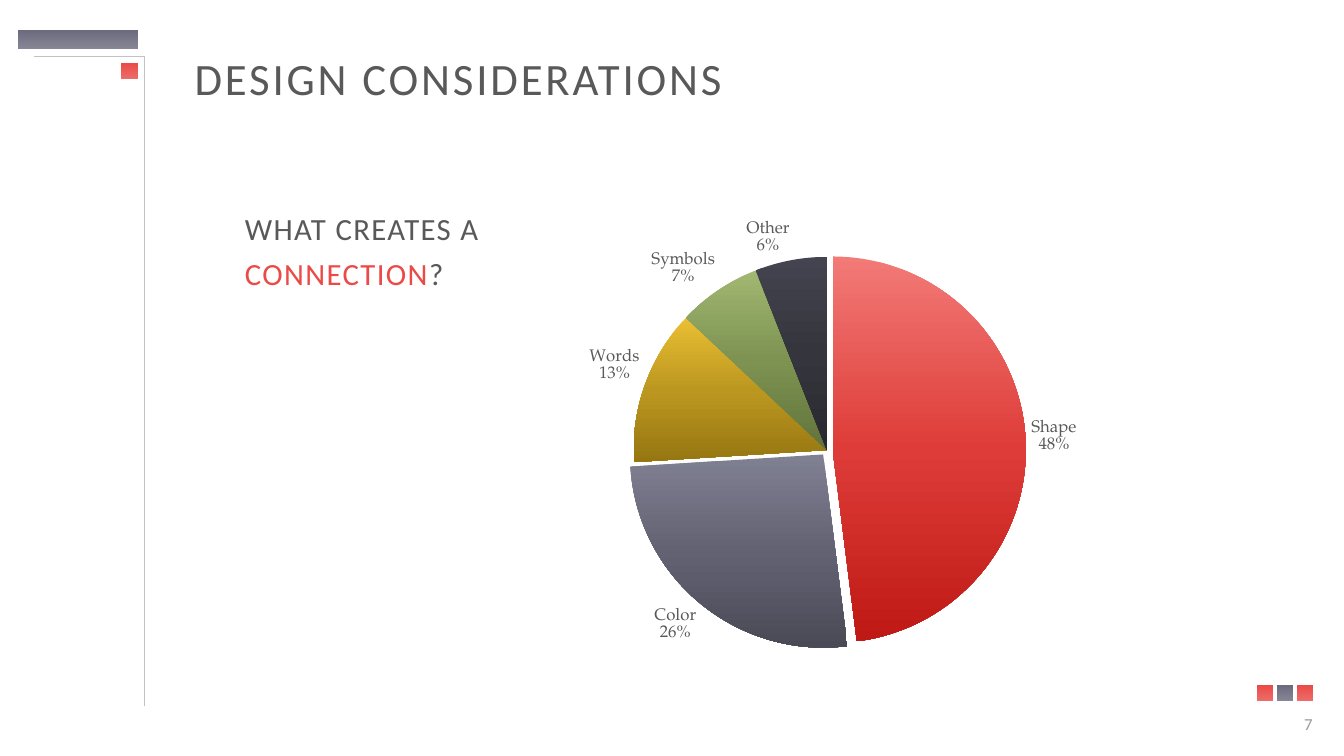
from lxml import etree
from pptx import Presentation
from pptx import util as u
from pptx.chart.data import CategoryChartData
from pptx.dml.color import RGBColor
from pptx.enum import chart as charts, shapes, text
from pptx.oxml import ns

RED = RGBColor(0xEB, 0x4B, 0x47)
SLATE = RGBColor(0x6B, 0x6B, 0x7E)
GREY = RGBColor(0x59, 0x59, 0x59)
RULE_GREY = RGBColor(0xC2, 0xC2, 0xC2)
NUMBER_GREY = RGBColor(0x9B, 0x9B, 0x9B)

SLICES = [
    ("Shape", 48, ("F27A77", "DE3C38", "BE1915")),
    ("Color", 26, ("808093", "626272", "4A4A57")),
    ("Words", 13, ("EABF33", "BC9720", "967611")),
    ("Symbols", 7, ("A1B772", "7E9352", "61733B")),
    ("Other", 6, ("444450", "35353D", "28282F")),
]
EXPLODED_SLICES = 2


def add_element(parent, tag, **attributes):
    return etree.SubElement(parent, ns.qn(tag), attributes)


class SlideBuilder:
    font = "Calibri"
    chart_font = "TeX Gyre Pagella"

    def __init__(self, presentation):
        self.slide = presentation.slides.add_slide(presentation.slide_layouts[1])

    def place(self, shape, left, top, width, height):
        shape.left, shape.top = u.Inches(left), u.Inches(top)
        shape.width, shape.height = u.Inches(width), u.Inches(height)

    def gradient(self, fill, element, stops):
        fill.gradient()
        fill.gradient_angle = 270
        stop_list = element.find(".//" + ns.qn("a:gsLst"))
        for stop in list(stop_list):
            stop_list.remove(stop)
        for position, color, alpha in stops:
            stop = add_element(stop_list, "a:gs", pos=str(position * 1000))
            color_element = add_element(stop, "a:srgbClr", val=str(color))
            if alpha < 100:
                add_element(color_element, "a:alpha", val=str(alpha * 1000))

    def rule(self, points):
        start, *others = [(u.Inches(x), u.Inches(y)) for x, y in points]
        builder = self.slide.shapes.build_freeform(*start)
        builder.add_line_segments(others, close=False)
        shape = builder.convert_to_shape()
        shape.shadow.inherit = False
        shape.fill.background()
        shape.line.color.rgb = RULE_GREY
        shape.line.width = u.Pt(1)

    def block(self, left, top, width, height, color):
        shape = self.slide.shapes.add_shape(
            shapes.MSO_SHAPE.RECTANGLE, u.Inches(left), u.Inches(top),
            u.Inches(width), u.Inches(height))
        shape.shadow.inherit = False
        shape.line.fill.background()
        self.gradient(shape.fill, shape.element, [(0, color, 100), (100, color, 80)])

    def set_text(self, shape, box, runs, size, spacing=0, anchor=text.MSO_ANCHOR.TOP,
                 alignment=text.PP_ALIGN.LEFT, inset=0.05, line_spacing=1.0):
        self.place(shape, *box)
        frame = shape.text_frame
        frame.word_wrap = True
        frame.auto_size = text.MSO_AUTO_SIZE.NONE
        frame.vertical_anchor = anchor
        frame.margin_left = frame.margin_right = 0
        frame.margin_top = frame.margin_bottom = u.Inches(inset)
        paragraph = frame.paragraphs[0]
        paragraph.alignment = alignment
        paragraph.line_spacing = line_spacing
        paragraph.space_before = u.Pt(0)
        for words, color in runs:
            run = paragraph.add_run()
            run.text = words
            run.font.name = self.font
            run.font.size = u.Pt(size)
            run.font.color.rgb = color
            run._r.get_or_add_rPr().set("spc", str(spacing * 100))
        return paragraph

    def title(self, words, box):
        self.set_text(self.slide.shapes.title, box, [(words, GREY)], 32, spacing=2,
                      anchor=text.MSO_ANCHOR.MIDDLE)

    def body(self, runs, box):
        paragraph = self.set_text(self.slide.placeholders[1], box, runs, 22,
                                  spacing=1, line_spacing=1.2)
        properties = paragraph._p.get_or_add_pPr()
        properties.set("marL", "0")
        properties.set("indent", "0")
        add_element(properties, "a:buNone")

    def slide_number(self, number, box):
        shape = self.slide.shapes.add_textbox(0, 0, 0, 0)
        self.set_text(shape, box, [(number, NUMBER_GREY)], 12, inset=0,
                      alignment=text.PP_ALIGN.RIGHT)

    def pie(self, box, plot_area):
        data = CategoryChartData()
        data.categories = [name for name, _, _ in SLICES]
        data.add_series("Series 1", [value for _, value, _ in SLICES])
        chart = self.slide.shapes.add_chart(
            charts.XL_CHART_TYPE.PIE, *[u.Inches(length) for length in box], data).chart
        chart.has_title = False
        chart.has_legend = False
        chart.plots[0].vary_by_categories = True
        series = chart.plots[0].series[0]
        for index, (_, _, colors) in enumerate(SLICES):
            fill = series.points[index].format.fill
            fill.solid()
            point = chart.element.findall(".//" + ns.qn("c:dPt"))[index]
            stops = [(position, color, 100) for position, color in zip((0, 50, 100), colors)]
            self.gradient(fill, point, stops)
            if index < EXPLODED_SLICES:
                explosion = add_element(point, "c:explosion", val="3")
                point.find(ns.qn("c:idx")).addnext(explosion)
        labels = series.data_labels
        labels.show_value = False
        labels.show_category_name = True
        labels.show_percentage = True
        labels.number_format = "0%"
        labels.number_format_is_linked = False
        labels.position = charts.XL_LABEL_POSITION.OUTSIDE_END
        for font in (chart.font, labels.font):
            font.name = self.chart_font
            font.size = u.Pt(12)
            font.color.rgb = GREY
        label_element = chart.element.find(".//" + ns.qn("c:ser")).find(ns.qn("c:dLbls"))
        separator = add_element(label_element, "c:separator")
        separator.text = "\n"
        label_element.find(ns.qn("c:showBubbleSize")).addnext(separator)
        self.set_plot_area(chart, plot_area)

    def set_plot_area(self, chart, fractions):
        area = chart.element.find(".//" + ns.qn("c:plotArea"))
        for layout in area.findall(ns.qn("c:layout")):
            area.remove(layout)
        layout = add_element(area, "c:layout")
        area.insert(0, layout)
        manual = add_element(layout, "c:manualLayout")
        add_element(manual, "c:layoutTarget", val="inner")
        for tag in ("c:xMode", "c:yMode"):
            add_element(manual, tag, val="edge")
        for tag, fraction in zip(("c:x", "c:y", "c:w", "c:h"), fractions):
            add_element(manual, tag, val=str(fraction))


def main():
    presentation = Presentation()
    presentation.slide_width = u.Inches(13.33)
    presentation.slide_height = u.Inches(7.5)
    builder = SlideBuilder(presentation)
    builder.rule([(1.43, 7), (1.43, 0.56), (0.34, 0.56)])
    for index, color in enumerate((RED, SLATE, RED)):
        builder.block(12.47 + index * 0.2, 6.8, 0.15, 0.15, color)
    builder.block(0.18, 0.3, 1.18, 0.18, SLATE)
    builder.block(1.21, 0.63, 0.15, 0.15, RED)
    builder.title("DESIGN CONSIDERATIONS", (1.93, 0.48, 9.15, 0.57))
    builder.body([("WHAT CREATES A ", GREY), ("CONNECTION", RED), ("?", GREY)],
                 (2.43, 1.96, 2.56, 4.5))
    builder.pie((5.37, 1.43, 5.72, 5.57), (0.16, 0.2, 0.67, 0.69))
    builder.slide_number("7", (12.6, 7.08, 0.42, 0.22))
    presentation.save("out.pptx")


if __name__ == "__main__":
    main()
